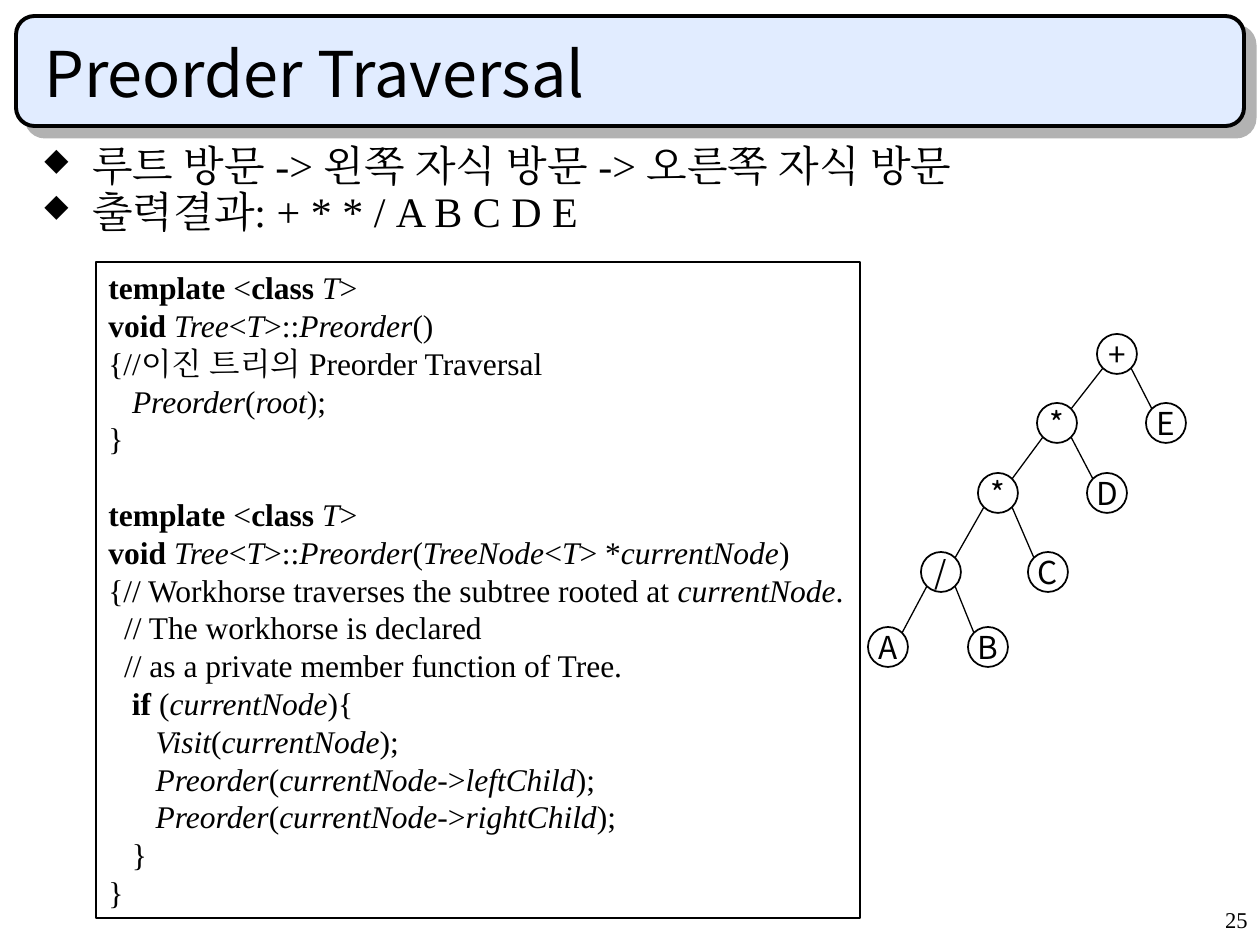
from dataclasses import dataclass

from lxml import etree
from pptx import Presentation
from pptx.dml.color import RGBColor
from pptx.enum.shapes import MSO_CONNECTOR, MSO_SHAPE
from pptx.enum.text import MSO_ANCHOR, PP_ALIGN
from pptx.oxml.ns import qn
from pptx.util import Emu, Pt

RECT, ROUNDED, OVAL = MSO_SHAPE.RECTANGLE, MSO_SHAPE.ROUNDED_RECTANGLE, MSO_SHAPE.OVAL
STRAIGHT = MSO_CONNECTOR.STRAIGHT
TOP, MIDDLE, BOTTOM = MSO_ANCHOR.TOP, MSO_ANCHOR.MIDDLE, MSO_ANCHOR.BOTTOM
LEFT, CENTER, RIGHT = PP_ALIGN.LEFT, PP_ALIGN.CENTER, PP_ALIGN.RIGHT
PX_PER_INCH = 126


@dataclass(frozen=True)
class Theme:
    ink: str = "000000"
    banner: str = "E1ECFF"
    shadow: str = "B2B2B2"
    sans: str = "Noto Sans CJK KR"
    serif: str = "Times New Roman"
    title: float = 36
    body: float = 24
    code: float = 18
    code_line: float = 21.6
    node: float = 18
    number: float = 12.9


THEME = Theme()

BULLETS = ["루트 방문 -> 왼쪽 자식 방문 -> 오른쪽 자식 방문",
           "출력결과: + * * / A B C D E"]

# In the code, # switches bold on and off, _ switches italic.
CODE_BLOCKS = [
    ["#template# <#class #_T_>",
     "#void #_Tree_<_T_>::_Preorder_()",
     "{//이진 트리의 Preorder Traversal",
     "   _Preorder_(_root_);",
     "}"],
    ["#template# <#class #_T_>",
     "#void #_Tree_<_T_>::_Preorder_(_TreeNode_<_T_> *_currentNode_)",
     "{// Workhorse traverses the subtree rooted at _currentNode_.",
     "  // The workhorse is declared",
     "  // as a private member function of Tree.",
     "#   if #(_currentNode_){",
     "      _Visit_(_currentNode_);",
     "      _Preorder_(_currentNode_->_leftChild_);",
     "      _Preorder_(_currentNode_->_rightChild_);",
     "   }",
     "}"],
]

# Each node: label, centre x, centre y, index of its parent, side of the parent
NODES = [("+", 1117, 354, None, 0),
         ("*", 1057, 423, 0, -1), ("E", 1166, 423, 0, 1),
         ("*", 998, 493, 1, -1), ("D", 1107, 493, 1, 1),
         ("/", 941, 572, 3, -1), ("C", 1048, 572, 3, 1),
         ("A", 888, 647, 5, -1), ("B", 988, 647, 5, 1)]
NODE_SIZE = 40
EDGE_OFFSET = 14  # from a node's centre to its outline, along each axis at 45 degrees


def px(*values):
    return [Emu(round(v * 914400 / PX_PER_INCH)) for v in values]


def color(value):
    return RGBColor.from_string(value)


def add_run(p, text, font, size, bold=False, italic=False):
    r = p.add_run()
    r.text = text
    r.font.name, r.font.size = font, Pt(size)
    r.font.bold, r.font.italic = bold, italic
    r.font.color.rgb = color(THEME.ink)
    etree.SubElement(r.font._element, qn("a:ea"), typeface=font)


def set_frame(s, anchor=TOP, wrap=True):
    tf = s.text_frame
    tf.word_wrap, tf.vertical_anchor = wrap, anchor
    return tf


def add_label(shapes, box, text, font, size, anchor=TOP, align=LEFT, spacing=None):
    tf = set_frame(shapes.add_textbox(*px(*box)), anchor)
    p = tf.paragraphs[0]
    p.alignment, p.line_spacing = align, spacing
    add_run(p, text, font, size)


def add_outlined(shapes, kind, box, width, fill=None):
    s = shapes.add_shape(kind, *px(*box))
    s.shadow.inherit = False
    if fill:
        s.fill.solid()
        s.fill.fore_color.rgb = color(fill)
    else:
        s.fill.background()
    s.line.color.rgb = color(THEME.ink)
    s.line.width = Pt(width)
    return s


def add_banner(shapes, box):
    s = add_outlined(shapes, ROUNDED, box, 2.25, THEME.banner)
    effects = s._element.spPr.find(qn("a:effectLst"))
    shadow = etree.SubElement(effects, qn("a:outerShdw"), dist=str(Pt(8.5)),
                              dir="2700000", algn="ctr", rotWithShape="0")
    etree.SubElement(shadow, qn("a:srgbClr"), val=THEME.shadow)


def add_bullets(shapes, box, lines):
    tf = set_frame(shapes.add_textbox(*px(*box)))
    for i, line in enumerate(lines):
        p = tf.add_paragraph() if i else tf.paragraphs[0]
        p.line_spacing = 0.7
        if i:
            p.space_before = Pt(6)
        indent = px(48)[0]
        pPr = p._p.get_or_add_pPr()
        pPr.set("marL", str(indent))
        pPr.set("indent", str(-indent))
        bullet_color = etree.SubElement(pPr, qn("a:buClr"))
        etree.SubElement(bullet_color, qn("a:srgbClr"), val=THEME.ink)
        etree.SubElement(pPr, qn("a:buSzPct"), val="75000")
        etree.SubElement(pPr, qn("a:buChar"), char="◆")
        add_run(p, line, THEME.serif, THEME.body)


def add_code(shapes, box, blocks):
    tf = set_frame(add_outlined(shapes, RECT, box, 0.75), wrap=False)
    for b, block in enumerate(blocks):
        for i, line in enumerate(block):
            p = tf.add_paragraph() if b or i else tf.paragraphs[0]
            p.alignment = LEFT
            p.line_spacing = Pt(THEME.code_line)
            if b and not i:
                p.space_before = Pt(THEME.code_line)
            add_code_runs(p, line)


def add_code_runs(p, line):
    for i, part in enumerate(line.split("#")):
        for j, text in enumerate(part.split("_")):
            if text:
                add_run(p, text, THEME.serif, THEME.code, i % 2 == 1, j % 2 == 1)


def add_node(shapes, label, x, y):
    half = NODE_SIZE // 2
    s = add_outlined(shapes, OVAL, (x - half, y - half, NODE_SIZE, NODE_SIZE), 1)
    p = set_frame(s, MIDDLE, wrap=False).paragraphs[0]
    p.alignment = CENTER
    add_run(p, label, THEME.sans, THEME.node)


def add_edge(shapes, x1, y1, x2, y2):
    s = shapes.add_connector(STRAIGHT, *px(x1, y1, x2, y2))
    s.line.color.rgb = color(THEME.ink)
    s.line.width = Pt(0.75)
    etree.SubElement(s._element.spPr, qn("a:effectLst"))


def add_tree(shapes, nodes):
    group = shapes.add_group_shape().shapes
    for label, x, y, _, _ in nodes:
        add_node(group, label, x, y)
    for _, x, y, parent, side in nodes:
        if parent is not None:
            _, px_x, px_y, _, _ = nodes[parent]
            dx = side * EDGE_OFFSET
            add_edge(group, px_x + dx, px_y + EDGE_OFFSET, x - dx, y - EDGE_OFFSET)


def main():
    prs = Presentation()
    prs.slide_width, prs.slide_height = px(1260, 945)
    shapes = prs.slides.add_slide(prs.slide_layouts[6]).shapes
    add_banner(shapes, (16, 16, 1228, 110))
    add_label(shapes, (998, 903, 262, 42), "25", THEME.serif, THEME.number,
              align=RIGHT, spacing=0.9)
    add_label(shapes, (32, 32, 1187, 84), "Preorder Traversal", THEME.sans,
              THEME.title, BOTTOM)
    add_bullets(shapes, (32, 147, 1187, 105), BULLETS)
    add_code(shapes, (96, 262, 764, 656), CODE_BLOCKS)
    add_tree(shapes, NODES)
    prs.save("out.pptx")


if __name__ == "__main__":
    main()
